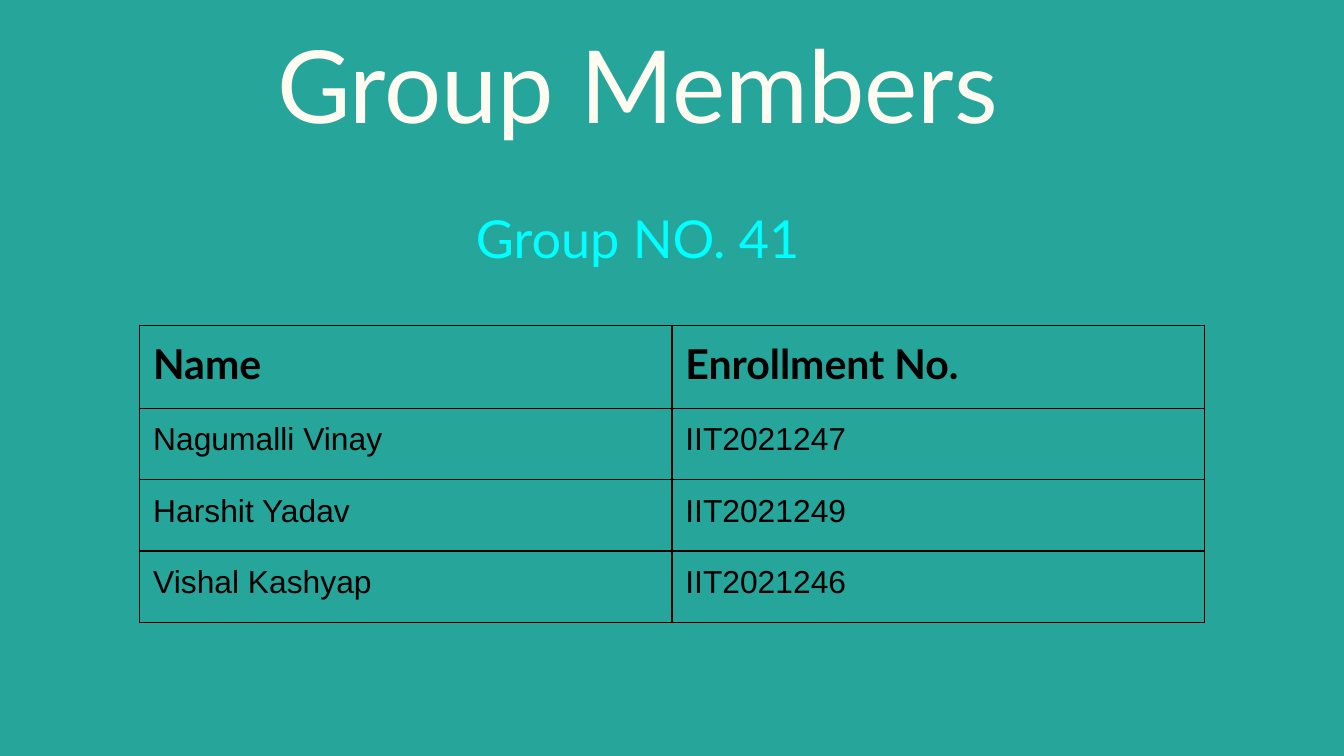
from dataclasses import dataclass

from lxml.etree import SubElement
from pptx import Presentation
from pptx.dml.color import RGBColor
from pptx.enum.text import MSO_ANCHOR, MSO_AUTO_SIZE, PP_ALIGN
from pptx.oxml.ns import qn
from pptx.util import Inches, Pt


@dataclass(frozen=True)
class Theme:
    """Colours, fonts and type sizes of the deck."""
    background: str = "26A69A"
    title: str = "FFFBF0"
    subtitle: str = "00FFFF"
    ink: str = "000000"
    heading_font: str = "Lato"
    body_font: str = "Arial"
    title_size: int = 54
    subtitle_size: int = 28
    header_size: int = 22
    body_size: int = 17
    border: float = 0.75
    inset: float = 0.1


def write(p, text, *, size, font, color, bold=False, align=PP_ALIGN.LEFT, before=0):
    """Add formatted text to a paragraph."""
    p.alignment = align
    p.space_before = Pt(before)
    r = p.add_run()
    r.text = text
    r.font.size = Pt(size)
    r.font.name = font
    r.font.bold = bold
    r.font.color.rgb = RGBColor.from_string(color)


class SlideBuilder:
    """Hold the theme and the current slide."""

    def __init__(self, prs, theme):
        """Start a title-only slide with a plain background."""
        self.theme = theme
        self.s = prs.slides.add_slide(prs.slide_layouts[5])
        fill = self.s.background.fill
        fill.solid()
        fill.fore_color.rgb = RGBColor.from_string(theme.background)

    def title(self, text, subtitle, left, top, width, height, bottom_inset):
        """Place the title with its subtitle below."""
        t = self.theme
        sp = self.s.shapes.title
        sp.left, sp.top = Inches(left), Inches(top)
        sp.width, sp.height = Inches(width), Inches(height)
        tf = sp.text_frame
        tf.word_wrap = True
        tf.auto_size = MSO_AUTO_SIZE.NONE
        tf.vertical_anchor = MSO_ANCHOR.MIDDLE
        tf.margin_left = tf.margin_right = tf.margin_top = Inches(t.inset)
        tf.margin_bottom = Inches(bottom_inset)
        write(tf.paragraphs[0], text, size=t.title_size, font=t.heading_font,
              color=t.title, align=PP_ALIGN.CENTER)
        write(tf.add_paragraph(), subtitle, size=t.subtitle_size, font=t.heading_font,
              color=t.subtitle, align=PP_ALIGN.CENTER, before=1.2 * t.subtitle_size)

    def border(self, cell):
        """Draw a thin line on all four sides of a cell."""
        tc_pr = cell._tc.get_or_add_tcPr()
        for side in ("a:lnL", "a:lnR", "a:lnT", "a:lnB"):
            ln = SubElement(tc_pr, qn(side), w=str(Pt(self.theme.border)))
            solid = SubElement(ln, qn("a:solidFill"))
            SubElement(solid, qn("a:srgbClr"), val=self.theme.ink)

    def table(self, rows, left, top, col_width, header_height, row_height):
        """Add a bordered, unfilled table whose first row is the header."""
        t = self.theme
        n_cols = len(rows[0])
        heights = [header_height] + [row_height] * (len(rows) - 1)
        table = self.s.shapes.add_table(
            len(rows), n_cols, Inches(left), Inches(top),
            Inches(col_width * n_cols), Inches(sum(heights))).table
        table.horz_banding = False
        table.first_row = False
        for col in table.columns:
            col.width = Inches(col_width)
        for i, values in enumerate(rows):
            table.rows[i].height = Inches(heights[i])
            header = i == 0
            for j, value in enumerate(values):
                cell = table.cell(i, j)
                self.border(cell)
                cell.fill.background()
                cell.margin_left = cell.margin_right = Inches(t.inset)
                cell.margin_top = cell.margin_bottom = Inches(t.inset)
                write(cell.text_frame.paragraphs[0], value, color=t.ink, bold=header,
                      size=t.header_size if header else t.body_size,
                      font=t.heading_font if header else t.body_font)


def main():
    """Build and save the group members slide."""
    prs = Presentation()
    prs.slide_width = Inches(10)
    prs.slide_height = prs.slide_width * 9 // 16
    slide = SlideBuilder(prs, Theme())
    slide.title("Group Members", "Group NO. 41", 0.41, 0.91, 8.67, 0.93, bottom_inset=0.68)
    members = [
        ("Name", "Enrollment No."),
        ("Nagumalli Vinay", "IIT2021247"),
        ("Harshit Yadav", "IIT2021249"),
        ("Vishal Kashyap", "IIT2021246"),
    ]
    slide.table(members, 1.04, 2.42, col_width=3.96, header_height=0.62, row_height=0.53)
    prs.save("out.pptx")


if __name__ == "__main__":
    main()
